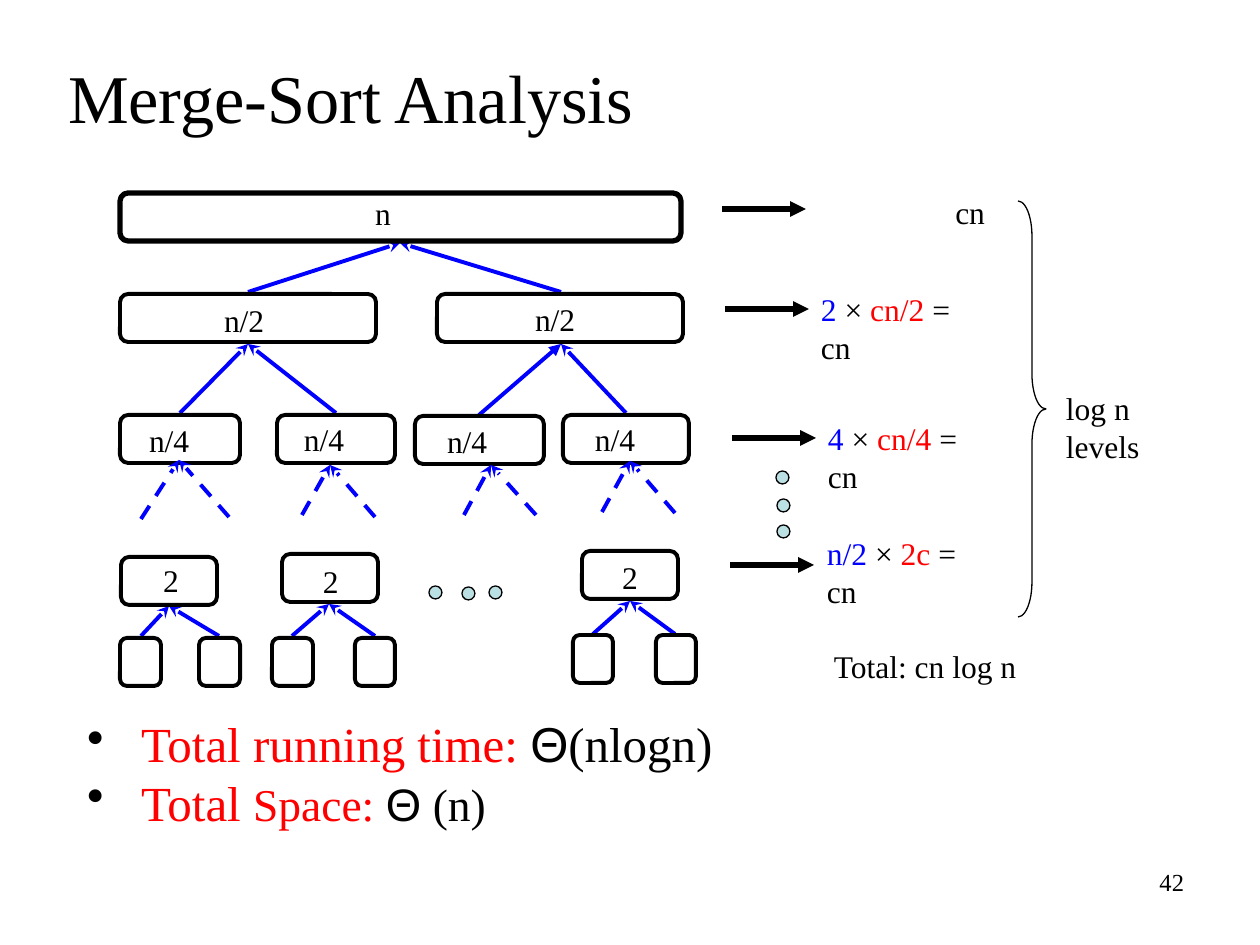
from pptx import Presentation
from pptx import util as u
from pptx.dml.color import RGBColor
from pptx.enum import dml, shapes, text
from pptx.oxml.ns import qn
from lxml import etree

PX = 914400 / 126
SERIF = "Times New Roman"
COLORS = {"black": "000000", "blue": "0000FF", "red": "FF0000", "dot": "BBE0E3"}

# Tree nodes: left, top, width, label, label left, label top
NODES = [
    (120, 294, 256, "n/2", 224, 301), (437, 294, 246, "n/2", 535, 300),
    (120, 415, 120, "n/4", 149, 421), (277, 415, 118, "n/4", 304, 420),
    (415, 416, 129, "n/4", 447, 422), (563, 415, 126, "n/4", 595, 420),
    (121, 557, 96, "2", 163, 561), (282, 554, 96, "2", 323, 562),
    (582, 551, 96, "2", 622, 558),
]
# Leaves: left, top, width
LEAVES = [(120, 638, 41), (199, 638, 41), (272, 638, 41), (355, 638, 40),
          (573, 635, 40), (656, 635, 40)]
# Branches: parent point, then the child points below it
BRANCHES = [
    ((400, 243), [(248, 292), (561, 292)]),
    ((248, 344), [(180, 413), (336, 413)]),
    ((169, 606), [(141, 636), (219, 636)]),
    ((329, 604), [(292, 636), (375, 636)]),
    ((630, 601), [(593, 634), (675, 634)]),
]
DASHED_BRANCHES = [
    ((179, 460), [(141, 519), (229, 517)]),
    ((330, 465), [(302, 515), (375, 517)]),
    ((491, 465), [(464, 515), (536, 515)]),
    ((630, 461), [(602, 512), (675, 513)]),
]
# Level costs: text left, text top, count, cost of one node
COSTS = [(808, 284, "2", "cn/2"), (815, 413, "4", "cn/4"), (814, 528, "n/2", "2c")]
COST_ARROWS = [(722, 209), (725, 309), (732, 438), (730, 565)]
DOTS = [(776, 471), (777, 499), (777, 525), (429, 586), (462, 587), (489, 586)]


def px(value):
    return u.Emu(round(value * PX))


def rgb(name):
    return RGBColor.from_string(COLORS[name])


def add_text(slide, box, paragraphs, size=18, inset=(13, 6), align=text.PP_ALIGN.LEFT,
             anchor=text.MSO_ANCHOR.TOP, wrap=True, bullet_indent=0):
    """Each paragraph is a list of (words, color, optional font, optional size)."""
    frame = slide.shapes.add_textbox(*map(px, box)).text_frame
    frame.word_wrap = wrap
    frame.vertical_anchor = anchor
    frame.margin_left = frame.margin_right = px(inset[0])
    frame.margin_top = frame.margin_bottom = px(inset[1])
    for index, runs in enumerate(paragraphs):
        paragraph = frame.add_paragraph() if index else frame.paragraphs[0]
        paragraph.alignment = align
        if bullet_indent:
            properties = paragraph._p.get_or_add_pPr()
            properties.set("marL", str(px(bullet_indent)))
            properties.set("indent", str(-px(bullet_indent)))
            color = etree.SubElement(properties, qn("a:buClr"))
            etree.SubElement(color, qn("a:srgbClr"), val=COLORS["black"])
            etree.SubElement(properties, qn("a:buChar"), char="•")
        for words, color, *special in runs:
            run = paragraph.add_run()
            run.text = words
            run.font.name = special[0] if special else SERIF
            run.font.size = u.Pt(special[1] if len(special) > 1 else size)
            run.font.color.rgb = rgb(color)


def add_outline(slide, kind, box, width, fill=None, adjustments=()):
    shape = slide.shapes.add_shape(kind, *map(px, box))
    shape.shadow.inherit = False
    if fill:
        shape.fill.solid()
        shape.fill.fore_color.rgb = rgb(fill)
    else:
        shape.fill.background()
    shape.line.color.rgb = rgb("black")
    shape.line.width = u.Pt(width)
    for index, value in enumerate(adjustments):
        shape.adjustments[index] = value


def add_node(slide, left, top, width, line=2.25):
    add_outline(slide, shapes.MSO_SHAPE.ROUNDED_RECTANGLE, (left, top, width, 48),
                line, adjustments=[0.17])


def add_label(slide, words, left, top):
    add_text(slide, (left, top, 71, 38), [[(words, "black")]], inset=(0, 0))


def add_arrow(slide, start, end, color="blue", width=2.25, head="stealth", dashed=False):
    arrow = slide.shapes.add_connector(
        shapes.MSO_CONNECTOR.STRAIGHT, *map(px, (*start, *end)))
    arrow.line.color.rgb = rgb(color)
    arrow.line.width = u.Pt(width)
    if dashed:
        arrow.line.dash_style = dml.MSO_LINE.DASH
    etree.SubElement(arrow.line._get_or_add_ln(), qn("a:tailEnd"), type=head)
    etree.SubElement(arrow._element.spPr, qn("a:effectLst"))


def add_branches(slide, branches, dashed=False):
    for parent, children in branches:
        for child in children:
            add_arrow(slide, child, parent, dashed=dashed)


def add_tree(slide):
    # Merge arrows lie behind the nodes, except the dashed ones
    add_branches(slide, BRANCHES)
    add_arrow(slide, (479, 415), (561, 344), head="triangle")
    add_arrow(slide, (626, 413), (561, 344))
    add_node(slide, 120, 193, 561, line=3)
    add_label(slide, "n", 375, 194)
    for left, top, width, words, label_left, label_top in NODES:
        add_node(slide, left, top, width)
        add_label(slide, words, label_left, label_top)
    for leaf in LEAVES:
        add_node(slide, *leaf)
    add_branches(slide, DASHED_BRANCHES, dashed=True)


def add_costs(slide):
    for left, top in COST_ARROWS:
        add_arrow(slide, (left, top), (left + 84, top), "black", 3, "triangle")
    add_text(slide, (834, 187, 164, 50), [[("cn", "black")]], align=text.PP_ALIGN.RIGHT)
    for left, top, count, cost in COSTS:
        runs = [(count, "blue"), (" × ", "black"), (cost, "red"), (" = cn", "black")]
        add_text(slide, (left, top, 192, 50), [runs], wrap=False)
    add_outline(slide, shapes.MSO_SHAPE.RIGHT_BRACE, (1018, 201, 28, 416), 0.75,
                adjustments=[1.25, 0.5])
    add_text(slide, (1053, 383, 170, 50), [[("log n levels", "black")]], wrap=False)
    add_text(slide, (821, 641, 209, 50), [[("Total: cn log n", "black")]], wrap=False)


def main():
    presentation = Presentation()
    presentation.slide_width, presentation.slide_height = px(1260), px(945)
    slide = presentation.slides.add_slide(presentation.slide_layouts[6])

    # Title
    add_text(slide, (55, 44, 1040, 105), [[("Merge-Sort Analysis", "black")]], size=39,
             anchor=text.MSO_ANCHOR.MIDDLE)

    # Recursion tree, level costs and ellipsis dots
    add_tree(slide)
    add_costs(slide)
    for left, top in DOTS:
        add_outline(slide, shapes.MSO_SHAPE.OVAL, (left, top, 13, 13), 0.75, fill="dot")

    # Conclusions
    add_text(slide, (74, 708, 974, 131), [
        [("Total running time: ", "red"), ("Θ", "black", "Arial"), ("(nlogn)", "black")],
        [("Total ", "red"), ("Space: ", "red", SERIF, 26), ("Θ", "black", "Arial", 26),
         (" (n)", "black", SERIF, 26)],
    ], size=28, bullet_indent=54)

    # Page number
    add_text(slide, (903, 861, 294, 66), [[("42", "black")]], size=14,
             align=text.PP_ALIGN.RIGHT)
    presentation.save("out.pptx")


if __name__ == "__main__":
    main()
